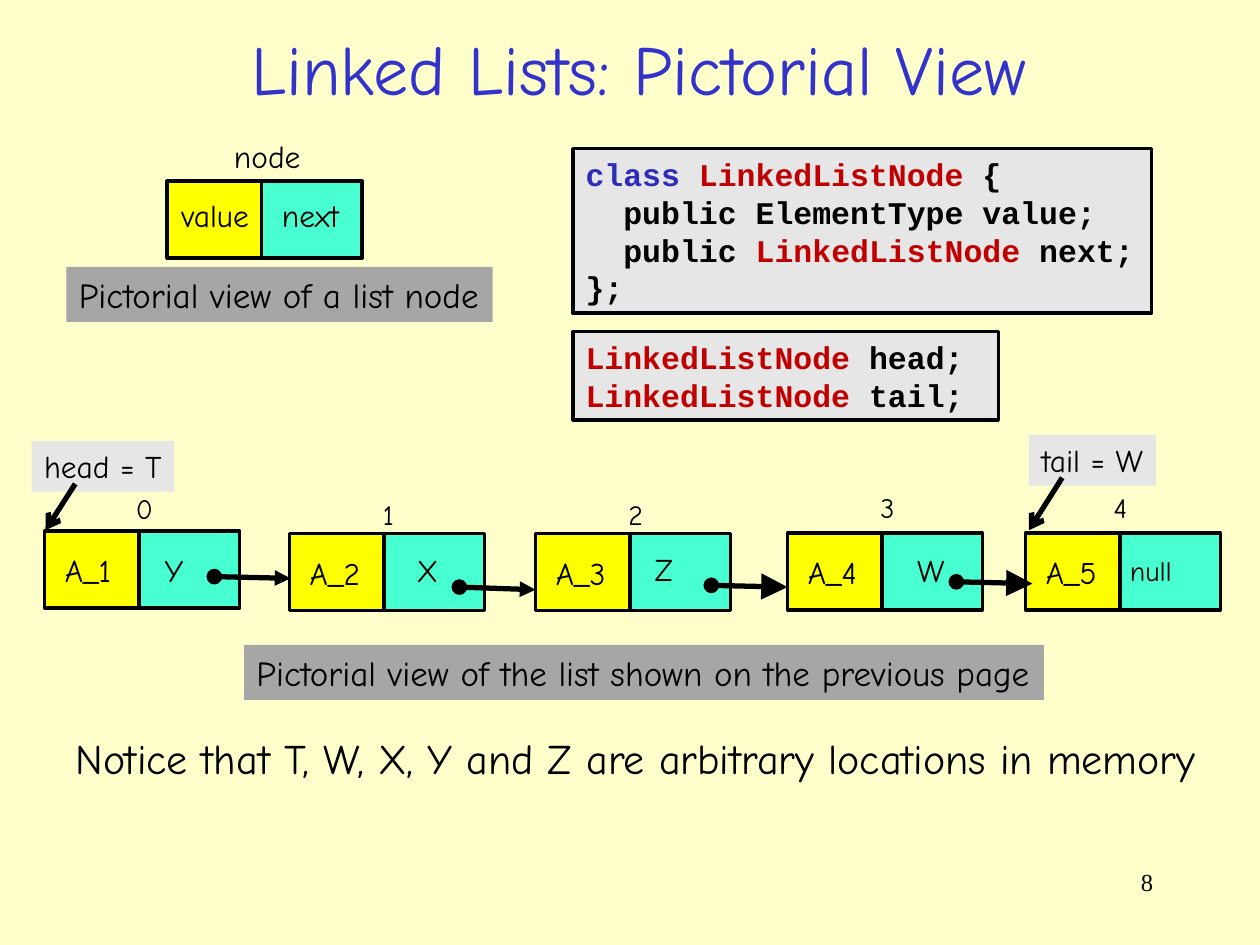
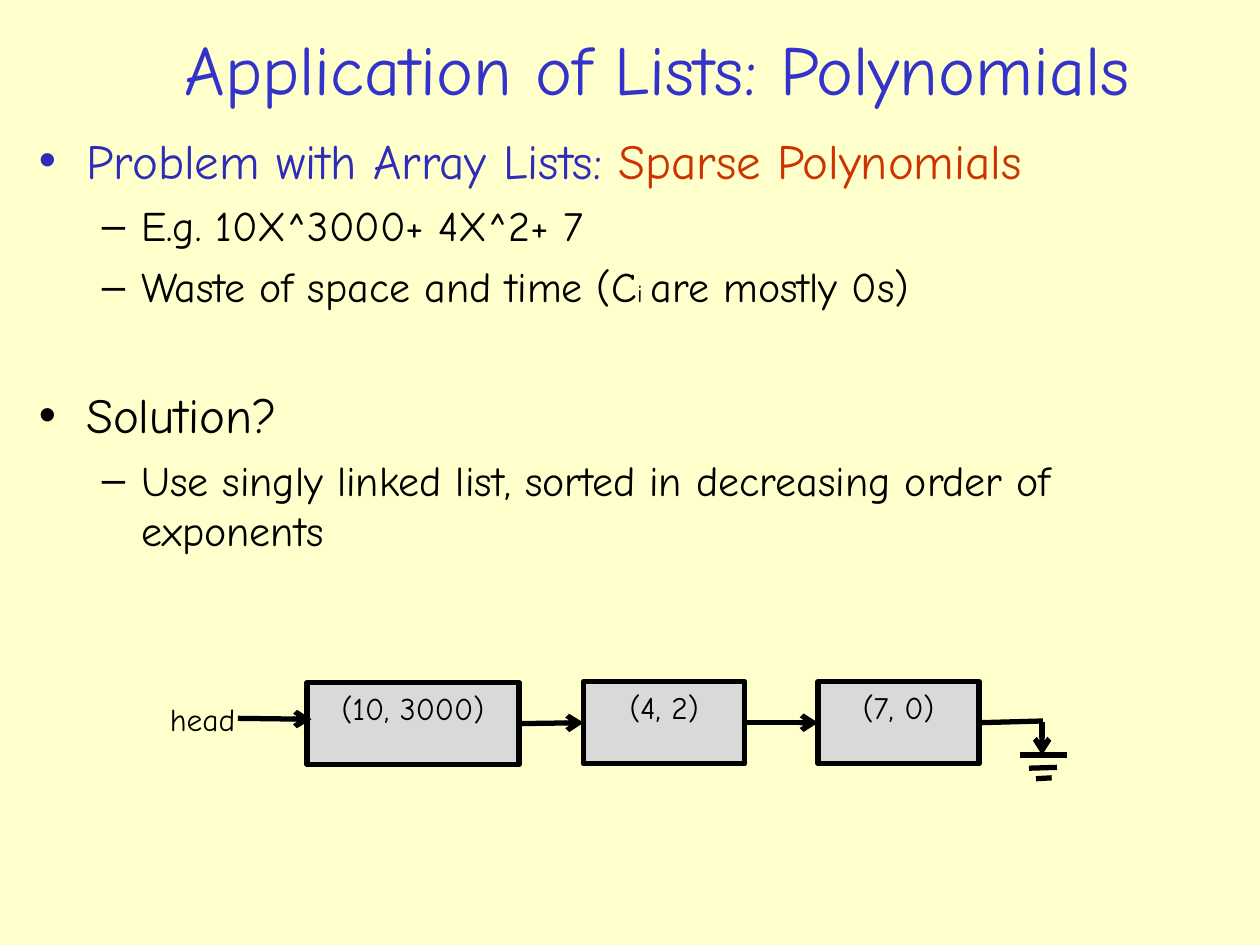
from dataclasses import dataclass
from itertools import pairwise
from typing import NamedTuple

import lxml.etree
import pptx
import pptx.dml.color
import pptx.enum.shapes
import pptx.enum.text
import pptx.oxml.ns
import pptx.util
from pptx.util import Pt

SHAPES = pptx.enum.shapes.MSO_SHAPE
ALIGN = pptx.enum.text.PP_ALIGN
ANCHOR = pptx.enum.text.MSO_ANCHOR
FIT = pptx.enum.text.MSO_AUTO_SIZE

BLACK, BLUE, INDIGO = "000000", "3333CC", "2D2DB9"
RED, ORANGE = "C00000", "CC3300"
CREAM, YELLOW, MINT = "FFFFCC", "FFFF00", "47FFD1"
PALE, SILVER, GREY = "E6E6E6", "D9D9D9", "A6A6A6"
HAND, CODE, SERIF = "Comic Neue", "Courier New", "Times New Roman"
VALUE_WIDTH, NEXT_WIDTH, NODE_HEIGHT = 54, 57.5, 44


class Span(NamedTuple):
    text: str
    color: str = BLACK
    size: float | None = None


class Frame(NamedTuple):
    left: float
    top: float
    width: float
    height: float


class Point(NamedTuple):
    x: float
    y: float


@dataclass(frozen=True)
class Style:
    size: float = 18
    font: str = HAND
    align: ALIGN = ALIGN.LEFT
    bold: bool = False


@dataclass(frozen=True)
class ListNode:
    corner: Point
    value: str
    link: str
    link_frame: Frame
    link_size: float
    index_at: Point


@dataclass(frozen=True)
class Bullet:
    spans: tuple[Span, ...]
    level: int
    space_before: float


@dataclass(frozen=True)
class Arrow:
    start: Point
    end: Point
    tail: str | None = None
    head: str | None = None
    tail_size: str = "med"


PLAIN, CENTRED = Style(), Style(align=ALIGN.CENTER)
SMALL, CAPTION = Style(16), Style(20)
LISTING = Style(font=CODE, bold=True)

NODES = [
    ListNode(Point(25.5, 303.5), "A_1", "Y", Frame(87, 311.5, 27, 29), 18, Point(70.5, 277.5)),
    ListNode(Point(165.4, 305), "A_2", "X", Frame(231, 311.5, 28, 29), 18, Point(211.7, 281)),
    ListNode(Point(306, 305), "A_3", "Z", Frame(367, 310.5, 26, 29), 18, Point(352, 281)),
    ListNode(Point(450, 304.5), "A_4", "W", Frame(517, 311.5, 31, 29), 18, Point(496, 276.5)),
    ListNode(Point(586, 304.5), "A_5", "null", Frame(638.6, 312.5, 42, 26.5), 16, Point(629.3, 276.5)),
]
NEXT_ARROWS = [
    Arrow(Point(122.5, 329.5), Point(166, 330.5), "triangle", "oval"),
    Arrow(Point(262.5, 335.5), Point(306, 337), "triangle", "oval"),
    Arrow(Point(406.5, 334.5), Point(450, 335.5), "triangle", "oval", "lg"),
    Arrow(Point(546.5, 332.5), Point(590, 333.5), "triangle", "oval", "lg"),
]
POINTER_ARROWS = [
    Arrow(Point(43, 276.5), Point(26, 303), "arrow"),
    Arrow(Point(607, 273), Point(588, 303), "arrow"),
]
NODE_CLASS = [
    (Span("class ", INDIGO), Span("LinkedListNode", RED), Span(" {")),
    (Span("  public ElementType value;"),),
    (Span("  public "), Span("LinkedListNode", RED), Span(" next;")),
    (Span("};"),),
]
END_POINTERS = [(Span("LinkedListNode ", RED), Span(f"{end};")) for end in ("head", "tail")]
BULLETS = [
    Bullet((Span("Problem with Array Lists: ", INDIGO), Span("Sparse Polynomials", ORANGE)), 0, 0),
    Bullet((Span("E.g. 10X^3000+ 4X^2+ 7"),), 1, 6),
    Bullet((Span("Waste of space and time (C"), Span("i ", size=14), Span("are mostly 0s)")), 1, 6),
    Bullet((Span("Solution?"),), 0, 42),
    Bullet((Span("Use singly linked list, sorted in decreasing order of exponents"),), 1, 6),
]
TERMS = [
    ("(10, 3000)", Frame(175.5, 390, 121, 47)),
    ("(4, 2)", Frame(333.5, 389.5, 92, 47)),
    ("(7, 0)", Frame(467.5, 389.5, 92, 47)),
]
GROUND = [
    Arrow(Point(583, 431.5), Point(610, 431.5)),
    Arrow(Point(595.5, 412.5), Point(595.5, 431.5), "arrow"),
    Arrow(Point(588, 439), Point(604, 438.5)),
    Arrow(Point(592, 445), Point(601, 444.5)),
]


def rgb(color: str) -> pptx.dml.color.RGBColor:
    """Turn a hex string into a colour."""
    return pptx.dml.color.RGBColor.from_string(color)


def place(shape, frame: Frame) -> None:
    """Move and size a shape."""
    shape.left, shape.top, shape.width, shape.height = map(Pt, frame)


def write(paragraph, spans: tuple[Span, ...], style: Style) -> None:
    """Fill a paragraph with coloured spans in one style."""
    paragraph.alignment = style.align
    font = paragraph.font
    font.name, font.size, font.bold = style.font, Pt(style.size), style.bold
    shared_color = len({span.color for span in spans}) == 1
    if shared_color:
        font.color.rgb = rgb(spans[0].color)
    for span in spans:
        run = paragraph.add_run()
        run.text = span.text
        if not shared_color:
            run.font.color.rgb = rgb(span.color)
        if span.size:
            run.font.size = Pt(span.size)


def add_label(slide, text: str, frame: Frame, style: Style = PLAIN,
              fill: str | None = None, wrap: bool = False) -> None:
    """Add a text box, filled when a colour is given."""
    label = slide.shapes.add_textbox(*map(Pt, frame))
    if fill:
        label.fill.solid()
        label.fill.fore_color.rgb = rgb(fill)
    label.text_frame.word_wrap = wrap
    label.text_frame.auto_size = FIT.SHAPE_TO_FIT_TEXT
    write(label.text_frame.paragraphs[0], (Span(text),), style)


def add_box(slide, frame: Frame, fill: str, line_width: float = 2,
            lines: list[tuple[Span, ...]] | None = None, style: Style = PLAIN,
            preset: SHAPES = SHAPES.RECTANGLE):
    """Add an outlined box with optional lines of text."""
    box = slide.shapes.add_shape(preset, *map(Pt, frame))
    box.shadow.inherit = False
    box.fill.solid()
    box.fill.fore_color.rgb = rgb(fill)
    box.line.color.rgb = rgb(BLACK)
    box.line.width = Pt(line_width)
    box.text_frame.vertical_anchor = ANCHOR.TOP
    for number, spans in enumerate(lines or []):
        text = box.text_frame
        write(text.add_paragraph() if number else text.paragraphs[0], spans, style)
    return box


def add_arrow(slide, arrow: Arrow):
    """Add a thick black line with its arrowheads."""
    connector = slide.shapes.add_connector(
        pptx.enum.shapes.MSO_CONNECTOR.STRAIGHT, *map(Pt, (*arrow.start, *arrow.end)))
    connector.line.color.rgb = rgb(BLACK)
    connector.line.width = Pt(3)
    properties = connector._element.spPr
    outline = properties.find(pptx.oxml.ns.qn("a:ln"))
    for end, kind, size in (("headEnd", arrow.head, "med"), ("tailEnd", arrow.tail, arrow.tail_size)):
        if kind:
            lxml.etree.SubElement(outline, pptx.oxml.ns.qn(f"a:{end}"), type=kind, w=size, len=size)
    lxml.etree.SubElement(properties, pptx.oxml.ns.qn("a:effectLst"))
    return connector


def add_node(slide, corner: Point) -> None:
    """Add the value and next cells of a list node."""
    next_left = corner.x + VALUE_WIDTH
    add_box(slide, Frame(next_left, corner.y, NEXT_WIDTH, NODE_HEIGHT), MINT)
    add_box(slide, Frame(*corner, VALUE_WIDTH, NODE_HEIGHT), YELLOW)


def add_titled_slide(deck, layout: int, title: str, frame: Frame):
    """Add a slide with the shared title style."""
    slide = deck.slides.add_slide(deck.slide_layouts[layout])
    heading = slide.shapes.title
    place(heading, frame)
    heading.text_frame.auto_size = FIT.NONE
    heading.text_frame.vertical_anchor = ANCHOR.MIDDLE
    write(heading.text_frame.paragraphs[0], (Span(title, BLUE),), Style(40, align=ALIGN.CENTER))
    return slide


def add_bullets(body, bullets: list[Bullet]) -> None:
    """Fill the body placeholder with two levels of bullets."""
    body.text_frame.auto_size = FIT.NONE
    for number, bullet in enumerate(bullets):
        text = body.text_frame
        paragraph = text.add_paragraph() if number else text.paragraphs[0]
        paragraph.level = bullet.level
        properties = paragraph._p.get_or_add_pPr()
        margin, indent = ((27, -27), (58.5, -22.5))[bullet.level]
        properties.set("marL", str(Pt(margin)))
        properties.set("indent", str(Pt(indent)))
        marker = lxml.etree.SubElement(properties, pptx.oxml.ns.qn("a:buClr"))
        lxml.etree.SubElement(marker, pptx.oxml.ns.qn("a:srgbClr"), val=bullet.spans[0].color)
        paragraph.space_before = Pt(bullet.space_before)
        write(paragraph, bullet.spans, Style((28, 24)[bullet.level]))


def build_pictorial_view(deck) -> None:
    """Build the slide that draws a linked list."""
    slide = add_titled_slide(deck, 5, "Linked Lists: Pictorial View", Frame(21.5, 11.5, 687, 54.5))
    add_label(slide, "8", Frame(516, 492, 150, 36), Style(14, SERIF, ALIGN.RIGHT), wrap=True)
    add_label(slide, "Pictorial view of a list node", Frame(38, 152.5, 243.5, 31.5), CAPTION, GREY)
    add_label(slide, "Notice that T, W, X, Y and Z are arbitrary locations in memory",
              Frame(20, 415, 686, 36), Style(24, align=ALIGN.CENTER), wrap=True)
    add_box(slide, Frame(327.5, 85, 330.5, 94), PALE, lines=NODE_CLASS, style=LISTING)
    add_box(slide, Frame(327.5, 189.5, 243, 50.5), PALE, lines=END_POINTERS, style=LISTING)

    add_node(slide, Point(95.5, 103.5))
    add_label(slide, "value", Frame(96.5, 108.5, 54, 29))
    add_label(slide, "next", Frame(154, 108.5, 48, 29))
    add_label(slide, "node", Frame(126.5, 75, 52.5, 29), CENTRED)

    add_label(slide, "head = T", Frame(18, 252, 81.5, 29), CENTRED, PALE)
    add_label(slide, "tail = W", Frame(588, 248.5, 72.5, 29), CENTRED, PALE)
    for index, node in enumerate(NODES):
        add_node(slide, node.corner)
        add_label(slide, node.value, Frame(node.corner.x + 4.5, node.corner.y + 8, 46, 29))
        add_label(slide, node.link, node.link_frame, Style(node.link_size))
        add_label(slide, str(index), Frame(*node.index_at, 24, 26.5), SMALL)
    for arrow in NEXT_ARROWS + POINTER_ARROWS:
        add_arrow(slide, arrow)
    add_label(slide, "Pictorial view of the list shown on the previous page",
              Frame(139.5, 368.5, 457, 31.5), CAPTION, GREY)


def build_polynomials(deck) -> None:
    """Build the slide on sparse polynomials."""
    slide = add_titled_slide(deck, 1, "Application of Lists: Polynomials", Frame(52, 11.5, 647, 54.5))
    body = slide.placeholders[1]
    place(body, Frame(15, 71, 687.5, 297.5))
    add_bullets(body, BULLETS)

    terms = [add_box(slide, frame, SILVER, 3, [(Span(text),)], CENTRED, SHAPES.FLOWCHART_PROCESS)
             for text, frame in TERMS]
    origin = Point(0, 0)
    for term, following in pairwise(terms):
        step = add_arrow(slide, Arrow(origin, origin, "arrow"))
        step.begin_connect(term, 3)
        step.end_connect(following, 1)
    add_arrow(slide, Arrow(origin, Point(596, 412))).begin_connect(terms[-1], 3)
    head_arrow = Arrow(Point(136, 410.5), Point(178, 411), "arrow")
    for arrow in [*GROUND, head_arrow]:
        add_arrow(slide, arrow)
    add_label(slide, "head", Frame(90, 396.5, 52, 29))


def main() -> None:
    """Build and save the deck."""
    deck = pptx.Presentation()
    deck.slide_width, deck.slide_height = Pt(720), Pt(540)
    background = deck.slide_master.background.fill
    background.solid()
    background.fore_color.rgb = rgb(CREAM)
    build_pictorial_view(deck)
    build_polynomials(deck)
    deck.save("out.pptx")


if __name__ == "__main__":
    main()
